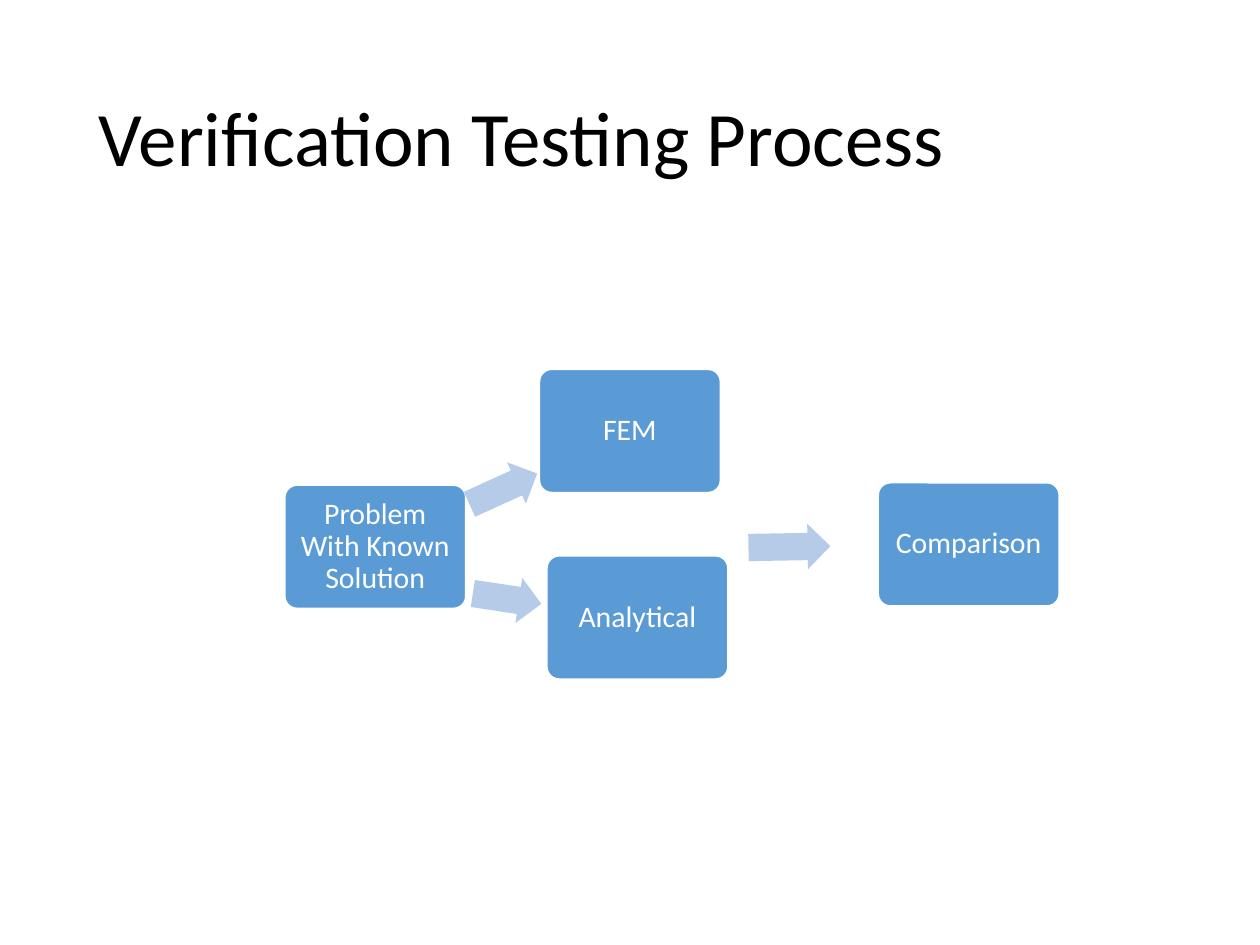
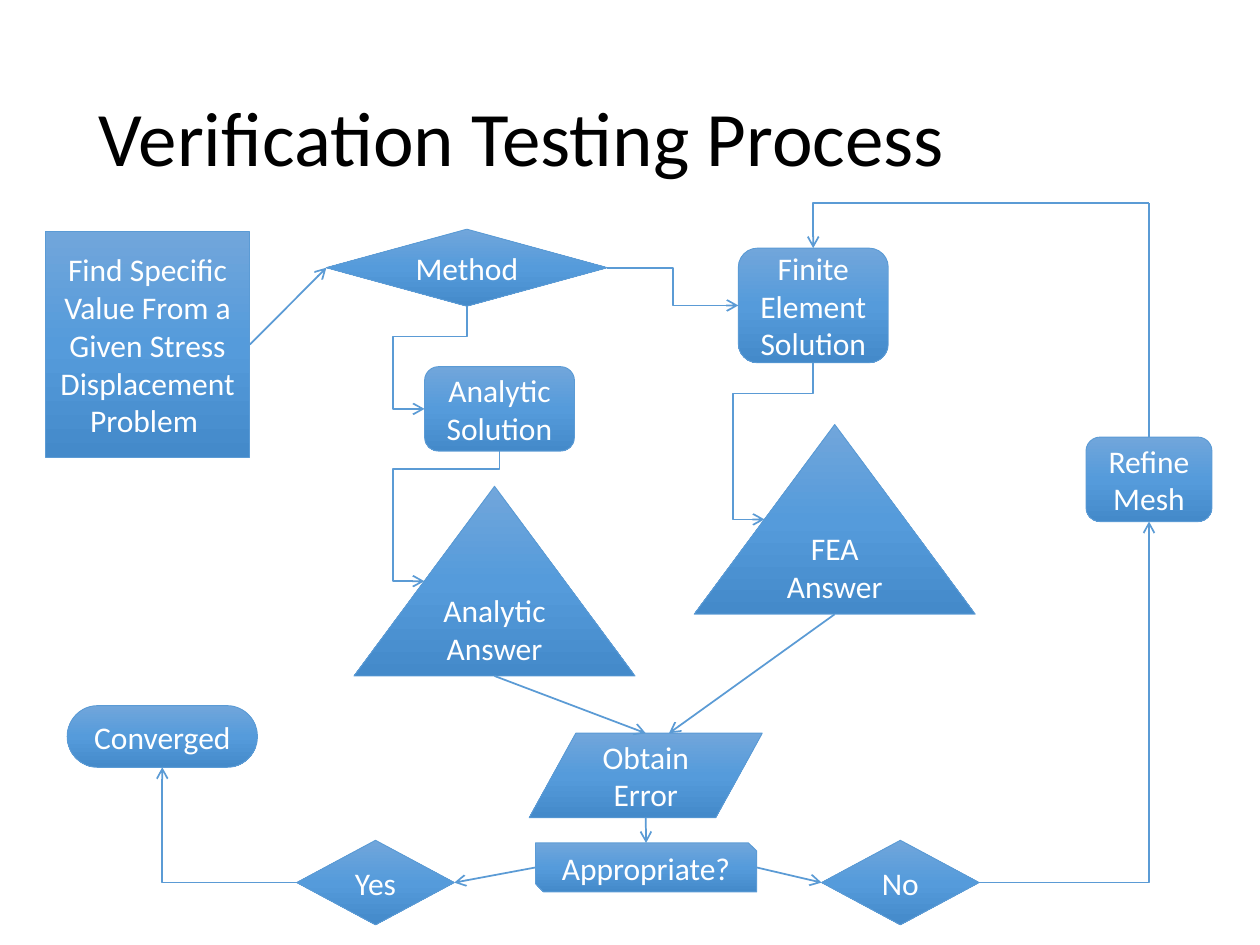
from collections import namedtuple
from copy import deepcopy

from lxml.etree import SubElement
from pptx import Presentation
from pptx.dml.color import RGBColor
from pptx.enum.shapes import MSO_CONNECTOR, MSO_SHAPE
from pptx.enum.text import MSO_ANCHOR, PP_ALIGN
from pptx.oxml.ns import qn
from pptx.util import Pt

FONT = "Calibri"
BLACK, WHITE, BLUE, PALE_BLUE = "000000", "FFFFFF", "5B9BD5", "B5CBE7"
GRADIENT = ((0, "71A6DB"), (0.5, "559BDB"), (1, "448ACA"))
LANE = 18


class Box(namedtuple("Box", "left top width height")):
    def inside(self, area):
        return Box(area.left + self.left, area.top + self.top, self.width, self.height)

    def at(self, across, down):
        return self.left + across * self.width, self.top + down * self.height

    def top_middle(self):
        return self.at(0.5, 0)

    def bottom_middle(self):
        return self.at(0.5, 1)

    def left_middle(self):
        return self.at(0, 0.5)

    def right_middle(self):
        return self.at(1, 0.5)


TITLE_BOX = Box(49.5, 28.75, 621, 104.4)
SUMMARY_AREA = Box(162.7, 211, 442.6, 177.1)
FLOWCHART_AREA = Box(26, 116, 667, 413)


def color(hex_code):
    return RGBColor.from_string(hex_code)


def points(values):
    return [Pt(value) for value in values]


def write(frame, text, size, hex_code, align, spacing=1.0):
    frame.word_wrap = True
    frame.vertical_anchor = MSO_ANCHOR.MIDDLE
    frame.text = text
    para = frame.paragraphs[0]
    para.alignment = align
    para.line_spacing = spacing
    for span in para.runs:
        span.font.name = FONT
        span.font.size = Pt(size)
        span.font.color.rgb = color(hex_code)


def add_title(page, box, text):
    title = page.shapes.add_textbox(*points(box))
    write(title.text_frame, text, 44, BLACK, PP_ALIGN.LEFT, 0.9)


def add_solid(page, kind, box, fill, adjustments):
    shape = page.shapes.add_shape(kind, *points(box))
    shape.shadow.inherit = False
    shape.fill.solid()
    shape.fill.fore_color.rgb = color(fill)
    for index, value in enumerate(adjustments):
        shape.adjustments[index] = value
    return shape


def add_step(page, box, text):
    step = add_solid(page, MSO_SHAPE.ROUNDED_RECTANGLE, box, BLUE, [0.1])
    step.line.color.rgb = color(WHITE)
    step.line.width = Pt(1)
    frame = step.text_frame
    frame.margin_left = frame.margin_right = Pt(5)
    frame.margin_top = frame.margin_bottom = Pt(5)
    write(frame, text, 17, WHITE, PP_ALIGN.CENTER, 0.9)


def add_block_arrow(page, box, angle):
    arrow = add_solid(page, MSO_SHAPE.RIGHT_ARROW, box, PALE_BLUE, [0.6, 0.5])
    arrow.line.fill.background()
    arrow.rotation = angle


def add_summary(page, area):
    steps = (
        ("Problem With Known Solution", 0, 66.2),
        ("FEM", 145.5, 0),
        ("Analytical", 149.8, 106.6),
        ("Comparison", 339.1, 64.8),
    )
    arrows = ((103.7, 55.4, 42.5, 335.5), (107.3, 118.1, 39.6, 8.6), (265, 88.5, 46.8, 359))
    for text, left, top in steps:
        add_step(page, Box(left, top, 103.5, 70.5).inside(area), text)
    for left, top, width, angle in arrows:
        add_block_arrow(page, Box(left, top, width, 26).inside(area), angle)


def fill_gradient(shape):
    shape.fill.gradient()
    shape.fill.gradient_angle = 270
    stop_list = shape._element.spPr.find(".//" + qn("a:gsLst"))
    stop_list.insert(1, deepcopy(stop_list[0]))
    for stop, (position, hex_code) in zip(shape.fill.gradient_stops, GRADIENT):
        stop.position = position
        stop.color.rgb = color(hex_code)


def add_node(page, kind, box, text):
    node = page.shapes.add_shape(kind, *points(box))
    node.shadow.inherit = False
    fill_gradient(node)
    node.line.color.rgb = color(BLUE)
    node.line.width = Pt(0.5)
    write(node.text_frame, text, 18, WHITE, PP_ALIGN.CENTER)


def add_link(page, start, end, kind=MSO_CONNECTOR.STRAIGHT, head=True):
    link = page.shapes.add_connector(kind, *points(start + end))
    link.line.color.rgb = color(BLUE)
    link.line.width = Pt(1)
    properties = link._element.spPr
    if head:
        SubElement(properties.find(qn("a:ln")), qn("a:tailEnd"), type="arrow")
    SubElement(properties, qn("a:effectLst"))
    return link


def add_corner(page, start, end):
    link = add_link(page, start, end, MSO_CONNECTOR.ELBOW)
    link._element.spPr.find(qn("a:prstGeom")).set("prst", "bentConnector2")


def add_side_entry(page, start, end, turn):
    (x1, y1), (x2, y2) = start, end
    back, drop = x1 - x2, y2 - y1
    middle_x, middle_y = (x1 + x2) / 2, (y1 + y2) / 2
    link = add_link(
        page,
        (middle_x - drop / 2, middle_y - back / 2),
        (middle_x + drop / 2, middle_y + back / 2),
        MSO_CONNECTOR.ELBOW,
    )
    properties = link._element.spPr
    properties.find(qn("a:xfrm")).set("rot", str(90 * 60000))
    geometry = properties.find(qn("a:prstGeom"))
    geometry.set("prst", "bentConnector4")
    guides = geometry.find(qn("a:avLst"))
    if guides is None:
        guides = SubElement(geometry, qn("a:avLst"))
    ratios = (turn - y1) / drop, (back + LANE) / back
    for number, ratio in enumerate(ratios, 1):
        SubElement(guides, qn("a:gd"), name=f"adj{number}", fmla=f"val {round(ratio * 100000)}")


def add_flowchart(page, area):
    rounded = MSO_SHAPE.FLOWCHART_ALTERNATE_PROCESS
    decision = MSO_SHAPE.FLOWCHART_DECISION
    triangle = MSO_SHAPE.FLOWCHART_EXTRACT
    nodes = {
        "problem": (MSO_SHAPE.FLOWCHART_PROCESS, "Find Specific Value From a Given Stress Displacement Problem ",
                    Box(0, 16.4, 116.8, 129)),
        "method": (decision, "Method", Box(160.5, 15, 160.6, 44)),
        "analytic": (rounded, "Analytic Solution", Box(216.6, 93.5, 85.7, 48.3)),
        "finite": (rounded, "Finite Element Solution", Box(395.9, 25.8, 85.7, 65.5)),
        "analytic answer": (triangle, "Analytic Answer", Box(176.3, 161.9, 160.6, 108.4)),
        "fea answer": (triangle, "FEA Answer", Box(370.7, 126.6, 160.6, 108.4)),
        "error": (MSO_SHAPE.FLOWCHART_DATA, "Obtain Error", Box(276.4, 303, 133.2, 48.3)),
        "refine": (rounded, "Refine Mesh", Box(594.6, 133.8, 72, 48.3)),
        "appropriate": (MSO_SHAPE.SNIP_2_DIAG_RECTANGLE, "Appropriate?", Box(280, 365.7, 126.4, 28)),
        "yes": (decision, "Yes", Box(143.6, 364.2, 90, 48.3)),
        "converged": (MSO_SHAPE.FLOWCHART_TERMINATOR, "Converged", Box(12.4, 287.2, 108.7, 35.3)),
        "no": (decision, "No", Box(443.5, 364.2, 90, 48.3)),
    }
    spots = {}
    for name, (kind, text, box) in nodes.items():
        spots[name] = box.inside(area)
        add_node(page, kind, spots[name], text)

    error, check = spots["error"], spots["appropriate"]
    straight_links = (
        (spots["problem"].right_middle(), spots["method"].left_middle()),
        (spots["analytic answer"].bottom_middle(), error.top_middle()),
        (spots["fea answer"].bottom_middle(), error.at(0.6, 0)),
        (error.bottom_middle(), check.top_middle()),
        (check.left_middle(), spots["yes"].right_middle()),
        (check.right_middle(), spots["no"].left_middle()),
    )
    for start, end in straight_links:
        add_link(page, start, end)

    side_entries = (
        ("method", "analytic", 0),
        ("analytic", "analytic answer", 0.25),
        ("finite", "fea answer", 0.25),
    )
    for source, target, across in side_entries:
        start = spots[source].bottom_middle()
        turn = (start[1] + spots[target].top) / 2
        add_side_entry(page, start, spots[target].at(across, 0.5), turn)

    add_link(page, spots["method"].right_middle(), spots["finite"].left_middle(), MSO_CONNECTOR.ELBOW)
    refine_top = spots["refine"].top_middle()
    loop_corner = refine_top[0], area.top
    add_link(page, refine_top, loop_corner, head=False)
    corners = (
        (spots["yes"].left_middle(), spots["converged"].bottom_middle()),
        (spots["no"].right_middle(), spots["refine"].bottom_middle()),
        (loop_corner, spots["finite"].top_middle()),
    )
    for start, end in corners:
        add_corner(page, start, end)


def main():
    deck = Presentation()
    deck.slide_width, deck.slide_height = Pt(720), Pt(540)
    for add_content, area in ((add_summary, SUMMARY_AREA), (add_flowchart, FLOWCHART_AREA)):
        page = deck.slides.add_slide(deck.slide_layouts[6])
        add_title(page, TITLE_BOX, "Verification Testing Process")
        add_content(page, area)
    deck.save("out.pptx")


if __name__ == "__main__":
    main()
